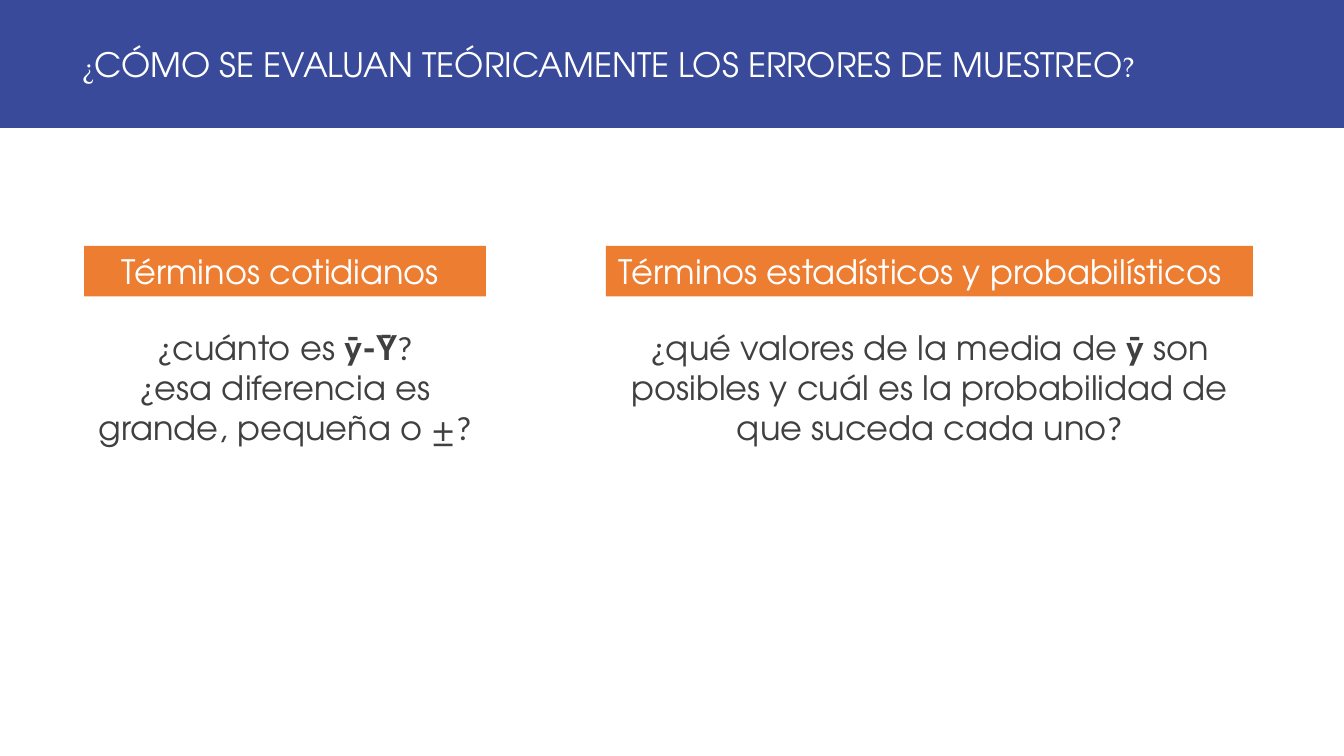
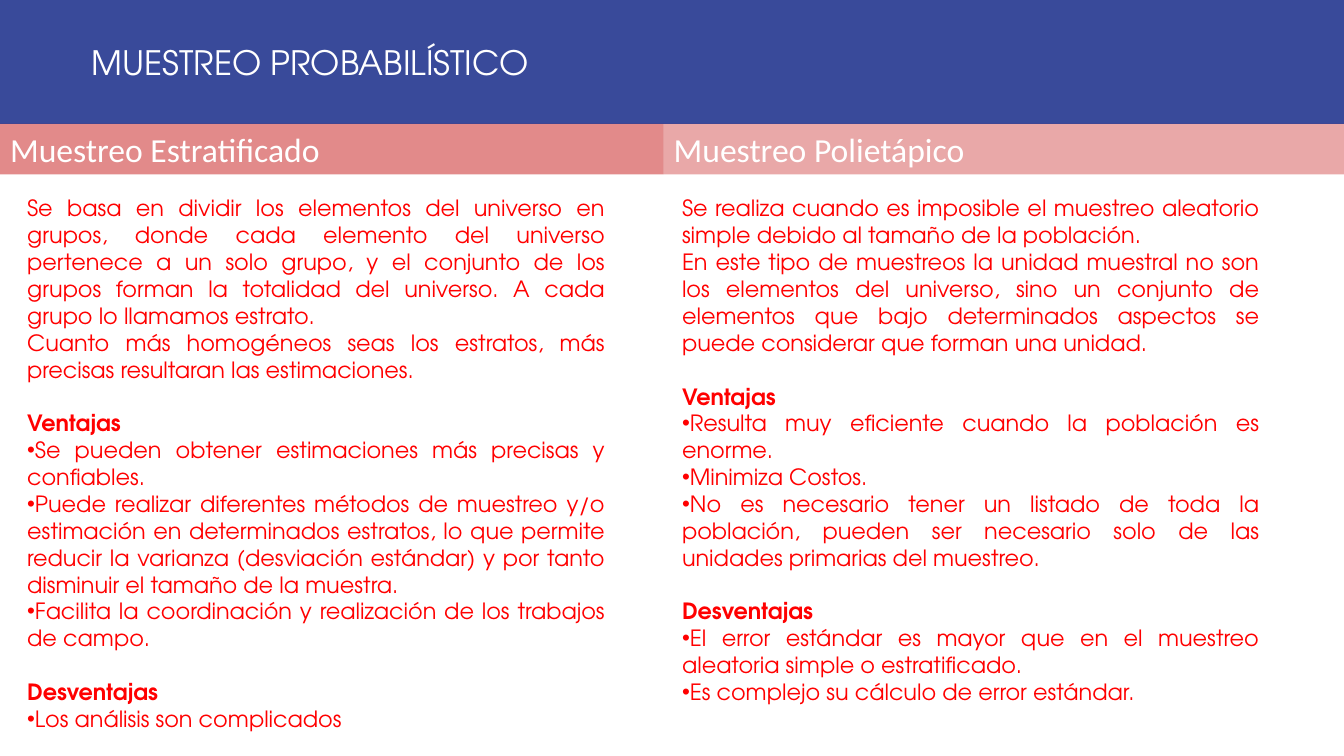
from pptx import Presentation
from pptx.dml.color import RGBColor as RGB
from pptx.enum.text import MSO_ANCHOR as Anchor, MSO_AUTO_SIZE as Auto, PP_ALIGN as Align
from pptx.oxml.ns import qn
from pptx.util import Pt
from lxml.etree import SubElement as Sub

# Shared style
HEX = {"band": "394A9A", "orange": "ED7D31", "wine": "C00000",
       "white": "FFFFFF", "dark": "404040", "red": "FF0000"}
SANS, PLAIN, SERIF = "TeX Gyre Adventor", "Calibri", "TeX Gyre Pagella"
WIDE, HIGH = 960, 540
BAR = 36        # height of a column heading
GAP = 19.2      # one line of list text

# Content: a paragraph is a list of runs (text, overrides)
SIGN = {"face": PLAIN}
SMALL = {"face": SERIF, "size": 20}
BOLD = {"bold": True}

TERMS = {
    "title": [("¿", SMALL),
              ("CÓMO SE EVALUAN TEÓRICAMENTE LOS ERRORES DE MUESTREO", {}),
              ("?", SMALL)],
    "inset": 58.6, "band": 91.4, "top": 175.7, "body": 229.7,
    "head": {"face": SANS, "align": Align.CENTER},
    "text": {"color": "dark", "size": 24, "align": Align.CENTER},
    "cols": [
        {"head": "Términos cotidianos", "fill": "orange", "right": 14,
         "bar": (60, 287), "box": (60, 287, 94),
         "list": [
             [("¿", SIGN), ("cuánto es ", {}), ("ӯ-Ῡ", BOLD), ("?", SIGN)],
             [("¿", SIGN), ("esa diferencia es grande, pequeña o ±", {}), ("?", SIGN)]]},
        {"head": "Términos estadísticos y probabilísticos", "fill": "orange", "right": 20.5,
         "bar": (432.8, 462.2), "box": (424, 480, 94),
         "list": [
             [("¿", SIGN), ("qué valores de la media de ", {}), ("ӯ", BOLD),
              (" son posibles y cuál es la probabilidad de que suceda cada uno", {}),
              ("?", SIGN)]]},
    ],
}

# Here a list is an introduction followed by titled groups of points
METHODS = {
    "title": [("MUESTREO PROBABILÍSTICO", {})],
    "inset": 65.5, "band": 88.5, "top": 88.5, "body": 135.4,
    "head": {"face": PLAIN},
    "text": {"color": "red", "size": 16, "align": Align.JUSTIFY},
    "cols": [
        {"head": "Muestreo Estratificado", "fill": "wine", "alpha": 46,
         "bar": (0, 474), "box": (12.2, 427.4, 395),
         "list": [
             "Se basa en dividir los elementos del universo en grupos, donde cada elemento "
             "del universo pertenece a un solo grupo, y el conjunto de los grupos forman la "
             "totalidad del universo. A cada grupo lo llamamos estrato.",
             "Cuanto más homogéneos seas los estratos, más precisas resultaran las estimaciones.",
             ("Ventajas", [
                 "Se pueden obtener estimaciones más precisas y confiables.",
                 "Puede realizar diferentes métodos de muestreo y/o estimación en determinados "
                 "estratos, lo que permite reducir la varianza (desviación estándar) y por "
                 "tanto disminuir el tamaño de la muestra.",
                 "Facilita la coordinación y realización de los trabajos de campo."]),
             ("Desventajas", ["Los análisis son complicados"])]},
        {"head": "Muestreo Polietápico", "fill": "wine", "alpha": 34,
         "bar": (474, 486), "box": (480, 427, 376),
         "list": [
             "Se realiza cuando es imposible el muestreo aleatorio simple debido al tamaño "
             "de la población.",
             "En este tipo de muestreos la unidad muestral no son los elementos del universo, "
             "sino un conjunto de elementos que bajo determinados aspectos se puede considerar "
             "que forman una unidad.",
             ("Ventajas", [
                 "Resulta muy eficiente cuando la población es enorme.",
                 "Minimiza Costos.",
                 "No es necesario tener un listado de toda la población, pueden ser necesario "
                 "solo de las unidades primarias del muestreo."]),
             ("Desventajas", [
                 "El error estándar es mayor que en el muestreo aleatoria simple o estratificado.",
                 "Es complejo su cálculo de error estándar."])]},
    ],
}


def place(box, left, top, width, height, fill=None, alpha=None):
    box.left, box.top, box.width, box.height = map(Pt, (left, top, width, height))
    if fill:
        box.fill.solid()
        box.fill.fore_color.rgb = RGB.from_string(HEX[fill])
    if alpha:
        tint = box.fill._xPr.find(qn("a:solidFill"))[0]
        Sub(tint, qn("a:alpha"), val=str(alpha * 1000))


def style(run, face, size, color, bold=False):
    font = run.font
    font.name, font.size, font.bold = face, Pt(size), bold
    font.color.rgb = RGB.from_string(HEX[color])


def write(box, paras, face=SANS, size=24, color="white", align=Align.LEFT,
          anchor=Anchor.TOP, left=7.2, right=7.2):
    """Fill a box with paragraphs given as (runs, bullet, space before)."""
    frame = box.text_frame
    frame.word_wrap, frame.auto_size = True, Auto.NONE
    frame.vertical_anchor = anchor
    frame.margin_left, frame.margin_right = Pt(left), Pt(right)
    frame.margin_top = frame.margin_bottom = Pt(3.6)
    for i, (runs, dot, space) in enumerate(paras):
        para = frame.add_paragraph() if i else frame.paragraphs[0]
        props = para._p.get_or_add_pPr()
        props.set("marL", "0")
        props.set("indent", "0")
        if dot:
            Sub(props, qn("a:buFont"), typeface="Arial")
            Sub(props, qn("a:buChar"), char="•")
        else:
            Sub(props, qn("a:buNone"))
        para.alignment, para.line_spacing = align, 1.0
        para.space_before, para.space_after = Pt(space), Pt(0)
        for text, over in runs:
            run = para.add_run()
            run.text = text
            style(run, **{"face": face, "size": size, "color": color, **over})


def expand(items):
    """Turn texts, run lists and titled groups into paragraphs."""
    paras = []
    for item in items:
        if isinstance(item, tuple):
            name, points = item
            paras.append(([(name, BOLD)], False, GAP))
            paras += [([(point, {})], True, 0) for point in points]
        else:
            runs = [(item, {})] if isinstance(item, str) else item
            paras.append((runs, False, 0))
    return paras


def build(deck, page):
    slide = deck.slides.add_slide(deck.slide_layouts.get_by_name("Comparison"))
    title, *slots = slide.placeholders
    # Title band
    place(title, 0, 0, WIDE, page["band"], "band")
    write(title, [(page["title"], False, 0)], anchor=Anchor.MIDDLE, left=page["inset"])
    # Columns: heading bar and text below
    for col, bar, body in zip(page["cols"], slots[::2], slots[1::2]):
        left, width = col["bar"]
        place(bar, left, page["top"], width, BAR, col["fill"], col.get("alpha"))
        write(bar, expand([col["head"]]), right=col.get("right", 7.2), **page["head"])
        left, width, height = col["box"]
        place(body, left, page["body"], width, height)
        write(body, expand(col["list"]), **page["text"])


def main():
    deck = Presentation()
    deck.slide_width, deck.slide_height = Pt(WIDE), Pt(HIGH)
    for page in (TERMS, METHODS):
        build(deck, page)
    deck.save("out.pptx")


if __name__ == "__main__":
    main()
